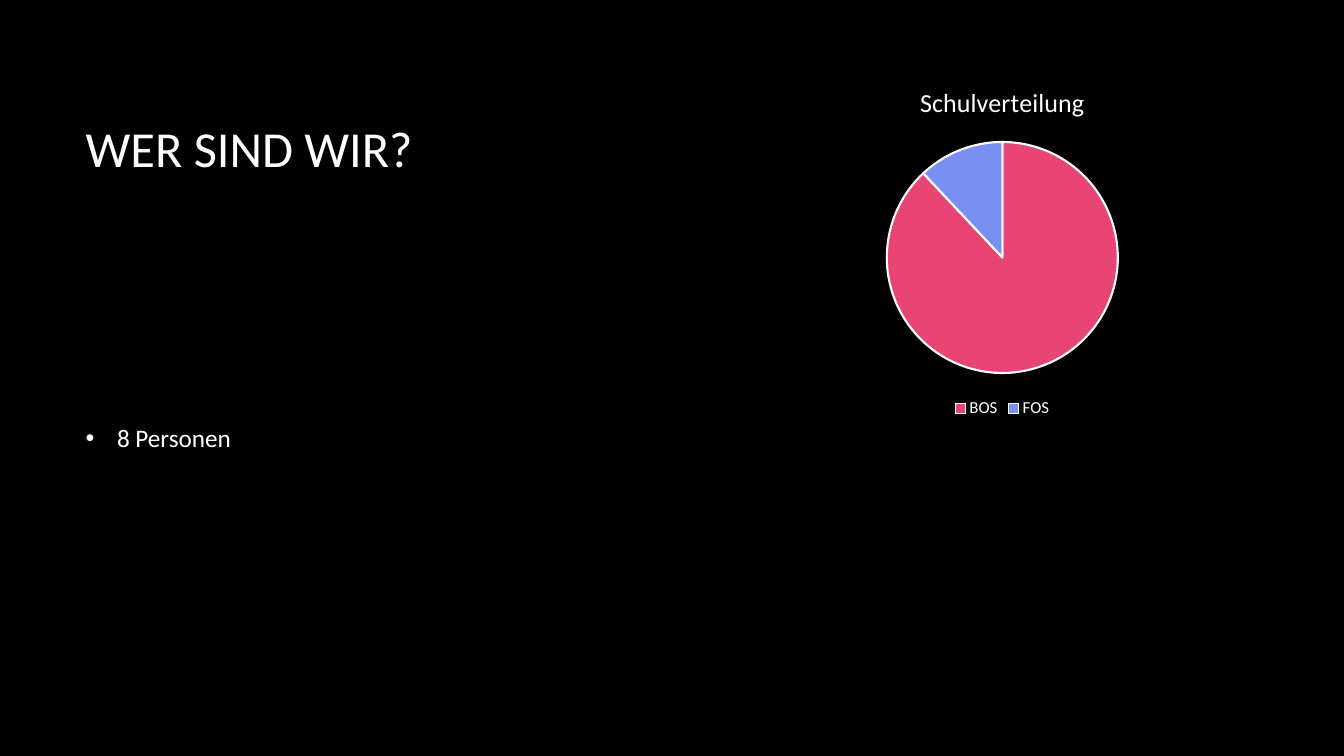
"""Build the team introduction slide with its school distribution pie chart."""
import pptx
import pptx.chart.data
import pptx.dml.color
import pptx.enum.chart
import pptx.enum.text
import pptx.oxml
import pptx.oxml.ns
import pptx.util

Cm = pptx.util.Cm
Pt = pptx.util.Pt
RGBColor = pptx.dml.color.RGBColor

BLACK = RGBColor(0x00, 0x00, 0x00)
WHITE = RGBColor(0xFF, 0xFF, 0xFF)
PINK = RGBColor(0xE8, 0x45, 0x74)
BLUE = RGBColor(0x79, 0x8F, 0xF2)

FONT = "Calibri"
SLIDE_SIZE = (33.87, 19.05)
TEXTS = [
    {"text": "WER SIND WIR?", "box": (1.91, 1.7, 28.15, 4.04), "size": 36, "bullet": False},
    {"text": "8 Personen", "box": (1.91, 5.96, 28.15, 10.14), "size": 18, "bullet": True},
]
CHART_TITLE = "Schulverteilung"
CHART_BOX = (18.55, 1.7, 13.42, 8.94)
SCHOOLS = [("BOS", 88, PINK), ("FOS", 12, BLUE)]


def style_font(font, size):
    formats = {"name": FONT, "size": Pt(size), "bold": False}
    for name, value in formats.items():
        setattr(font, name, value)
    font.color.rgb = WHITE


def add_bullet(paragraph):
    properties = paragraph._p.get_or_add_pPr()
    properties.set("marL", str(Cm(0.79)))
    properties.set("indent", str(-Cm(0.79)))
    namespace = pptx.oxml.ns.nsdecls("a")
    for xml in (
        f'<a:buClr {namespace}><a:srgbClr val="{WHITE}"/></a:buClr>',
        f'<a:buFont {namespace} typeface="Arial"/>',
        f'<a:buChar {namespace} char="•"/>',
    ):
        properties.append(pptx.oxml.parse_xml(xml))
    paragraph.space_after = Pt(10)


def add_text(slide, text, box, size, bullet):
    frame = slide.shapes.add_textbox(*map(Cm, box)).text_frame
    frame.word_wrap = True
    frame.vertical_anchor = pptx.enum.text.MSO_ANCHOR.MIDDLE
    paragraph = frame.paragraphs[0]
    if bullet:
        add_bullet(paragraph)
    run = paragraph.add_run()
    run.text = text
    style_font(run.font, size)


def add_school_chart(slide):
    data = pptx.chart.data.CategoryChartData()
    data.categories = [name for name, share, color in SCHOOLS]
    data.add_series(CHART_TITLE, [share for name, share, color in SCHOOLS])
    chart = slide.shapes.add_chart(
        pptx.enum.chart.XL_CHART_TYPE.PIE, *map(Cm, CHART_BOX), data
    ).chart
    style_font(chart.font, 10)

    chart.has_title = True
    chart.chart_title.include_in_layout = False
    title = chart.chart_title.text_frame
    title.text = CHART_TITLE
    style_font(title.paragraphs[0].runs[0].font, 18.6)

    chart.has_legend = True
    legend_formats = {
        "position": pptx.enum.chart.XL_LEGEND_POSITION.BOTTOM,
        "include_in_layout": False,
    }
    for name, value in legend_formats.items():
        setattr(chart.legend, name, value)
    style_font(chart.legend.font, 12)

    plot = chart.plots[0]
    plot.vary_by_categories = True
    for index, (name, share, color) in enumerate(SCHOOLS):
        point_format = plot.series[0].points[index].format
        point_format.fill.solid()
        point_format.fill.fore_color.rgb = color
        point_format.line.color.rgb = WHITE
        point_format.line.width = Pt(1.5)


def main():
    presentation = pptx.Presentation()
    presentation.slide_width, presentation.slide_height = map(Cm, SLIDE_SIZE)
    slide = presentation.slides.add_slide(presentation.slide_layouts[6])
    slide.background.fill.solid()
    slide.background.fill.fore_color.rgb = BLACK
    for text in TEXTS:
        add_text(slide, **text)
    add_school_chart(slide)
    presentation.save("out.pptx")


if __name__ == "__main__":
    main()
